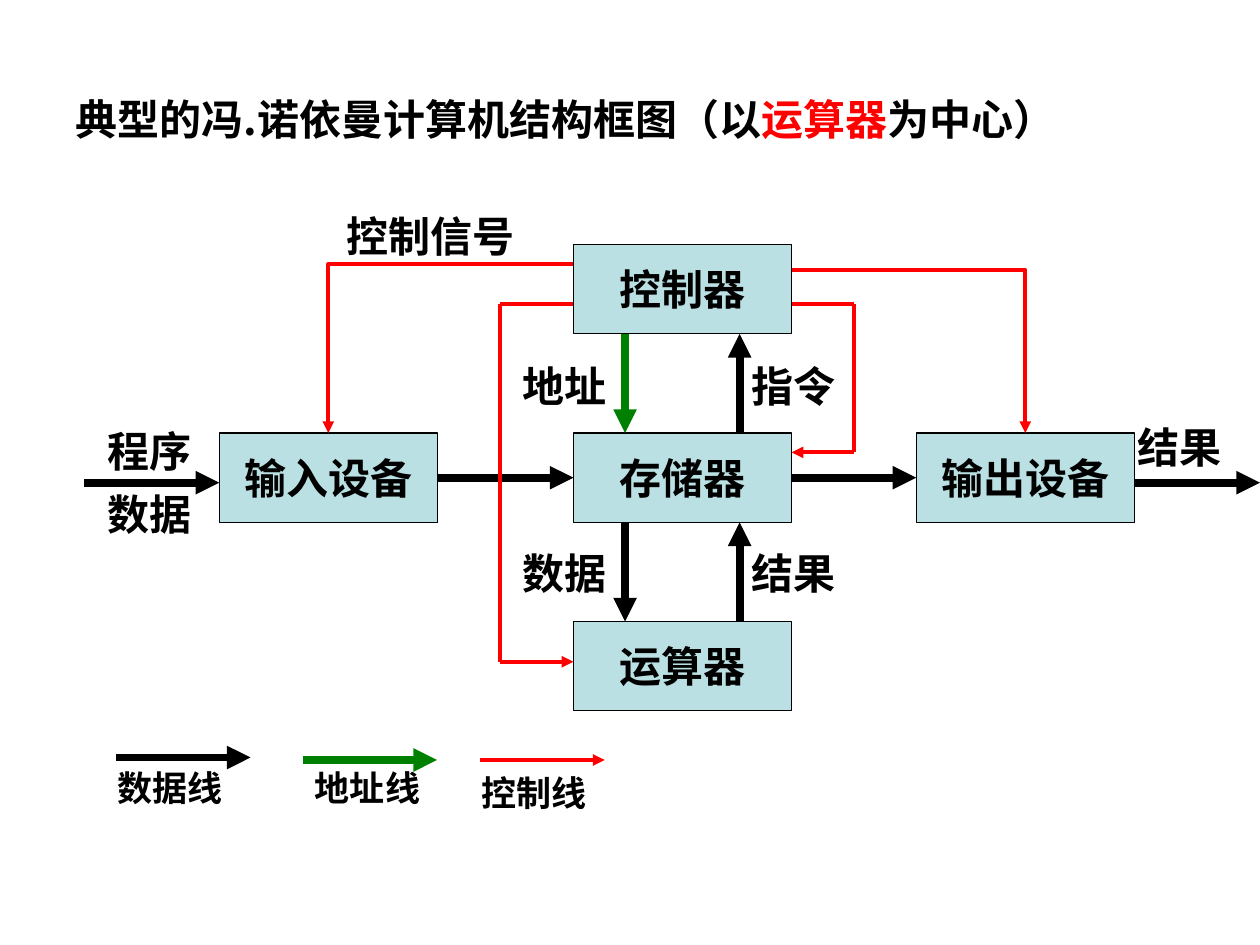
from pptx import Presentation
from pptx.dml.color import RGBColor
from pptx.enum.shapes import MSO_CONNECTOR, MSO_SHAPE
from pptx.enum.text import MSO_ANCHOR, MSO_AUTO_SIZE, PP_ALIGN
from pptx.oxml.ns import qn
from pptx.util import Cm, Pt
from lxml.etree import SubElement

COLORS = {
    "data": "000000",
    "address": "008000",
    "control": "FF0000",
    "unit": "BBE0E3",
}
WEIGHTS = {"data": 4.5, "address": 4.5, "control": 2.25}
UNIT_W, UNIT_H = 4.4, 1.8
LEFT, CENTER, RIGHT = 4.42, 11.56, 18.47
TOP, ROW_STEP = 4.93, 3.8
MIDDLE, BOTTOM = TOP + ROW_STEP, TOP + 2 * ROW_STEP
CENTER_END = CENTER + UNIT_W

prs = Presentation()
prs.slide_width, prs.slide_height = Cm(25.4), Cm(19.05)
slide = prs.slides.add_slide(prs.slide_layouts[5])
shapes = slide.shapes


def style_text(paragraph, size, font_name="Times New Roman"):
    paragraph.font.size = Pt(size)
    paragraph.font.bold = True
    paragraph.font.name = font_name
    paragraph.font.color.rgb = RGBColor.from_string(COLORS["data"])


def add_line(role, start, end, arrow=True, bent=False):
    kind = MSO_CONNECTOR.ELBOW if bent else MSO_CONNECTOR.STRAIGHT
    line = shapes.add_connector(kind, *[Cm(v) for v in (*start, *end)])
    line.line.color.rgb = RGBColor.from_string(COLORS[role])
    line.line.width = Pt(WEIGHTS[role])
    properties = line._element.spPr
    if bent:
        properties.find(qn("a:prstGeom")).set("prst", "bentConnector2")
    if arrow:
        SubElement(properties.find(qn("a:ln")), qn("a:tailEnd"), type="triangle")
    SubElement(properties, qn("a:effectLst"))
    return line


heading = shapes.title
heading.left, heading.top, heading.width, heading.height = Cm(1.27), Cm(1.73), Cm(22.86), Cm(1.32)
heading.text_frame.vertical_anchor = MSO_ANCHOR.MIDDLE
heading_line = heading.text_frame.paragraphs[0]
heading_line.alignment = PP_ALIGN.LEFT
style_text(heading_line, 24, "Noto Sans CJK SC")
for words, role in [
    ("典型的冯.诺依曼计算机结构框图（以", "data"),
    ("运算器", "control"),
    ("为中心）", "data"),
]:
    run = heading_line.add_run()
    run.text = words
    run.font.color.rgb = RGBColor.from_string(COLORS[role])

units = {}
for name, x, y in [
    ("输入设备", LEFT, MIDDLE),
    ("输出设备", RIGHT, MIDDLE),
    ("存储器", CENTER, MIDDLE),
    ("控制器", CENTER, TOP),
    ("运算器", CENTER, BOTTOM),
]:
    unit = shapes.add_shape(MSO_SHAPE.RECTANGLE, Cm(x), Cm(y), Cm(UNIT_W), Cm(UNIT_H))
    unit.shadow.inherit = False
    unit.fill.solid()
    unit.fill.fore_color.rgb = RGBColor.from_string(COLORS["unit"])
    unit.line.color.rgb = RGBColor.from_string(COLORS["data"])
    unit.line.width = Pt(0.75)
    unit.text_frame.text = name
    unit.text_frame.word_wrap = False
    unit.text_frame.vertical_anchor = MSO_ANCHOR.MIDDLE
    unit.text_frame.paragraphs[0].alignment = PP_ALIGN.CENTER
    style_text(unit.text_frame.paragraphs[0], 24)
    units[name] = unit

flow_y = MIDDLE + UNIT_H / 2
for source, target, x1, x2 in [
    ("输入设备", "存储器", LEFT + UNIT_W, CENTER),
    ("存储器", "输出设备", CENTER_END, RIGHT),
]:
    flow = add_line("data", (x1, flow_y), (x2, flow_y))
    flow.begin_connect(units[source], 3)
    flow.end_connect(units[target], 1)

outer_y = 9.73
add_line("data", (1.7, outer_y), (LEFT, outer_y))
add_line("data", (RIGHT + UNIT_W, outer_y), (25.4, outer_y))

down_x, up_x = 12.6, 14.91
for y, down_role in [(TOP, "address"), (MIDDLE, "data")]:
    add_line("data", (up_x, y + ROW_STEP), (up_x, y + UNIT_H))
    add_line(down_role, (down_x, y + UNIT_H), (down_x, y + ROW_STEP))

add_line("control", (CENTER_END, 5.44), (RIGHT + UNIT_W / 2, MIDDLE), bent=True)
add_line("control", (CENTER, 5.33), (LEFT + UNIT_W / 2, MIDDLE), bent=True)

branch_y = 6.12
for edge_x, bend_x, target_y in [(CENTER, 10.08, 13.34), (CENTER_END, 17.22, 9.12)]:
    add_line("control", (edge_x, branch_y), (bend_x, branch_y), arrow=False)
    add_line("control", (bend_x, branch_y), (bend_x, target_y), arrow=False)
    add_line("control", (bend_x, target_y), (edge_x, target_y))

for role, x1, x2, y in [
    ("data", 2.34, 5.05, 15.27),
    ("address", 6.1, 8.81, 15.32),
    ("control", 9.68, 12.19, 15.32),
]:
    add_line(role, (x1, y), (x2, y))

for words, x, y, width, size in [
    ("程序", 1.91, 8.46, 2.72, 24),
    ("数据", 1.91, 9.73, 2.72, 24),
    ("结果", 22.68, 8.38, 2.72, 24),
    ("数据", 10.29, 10.92, 2.72, 24),
    ("结果", 14.91, 10.92, 2.72, 24),
    ("地址", 10.29, 7.14, 2.72, 24),
    ("指令", 14.91, 7.14, 2.72, 24),
    ("控制信号", 6.73, 4.11, 4.42, 24),
    ("数据线", 2.11, 15.32, 2.95, 20),
    ("地址线", 6.1, 15.32, 3.15, 20),
    ("控制线", 9.45, 15.42, 3.15, 20),
]:
    height = 1.27 if size == 24 else 1.12
    label = shapes.add_textbox(Cm(x), Cm(y), Cm(width), Cm(height)).text_frame
    label.word_wrap = True
    label.auto_size = MSO_AUTO_SIZE.SHAPE_TO_FIT_TEXT
    label.text = words
    style_text(label.paragraphs[0], size)

prs.save("out.pptx")
